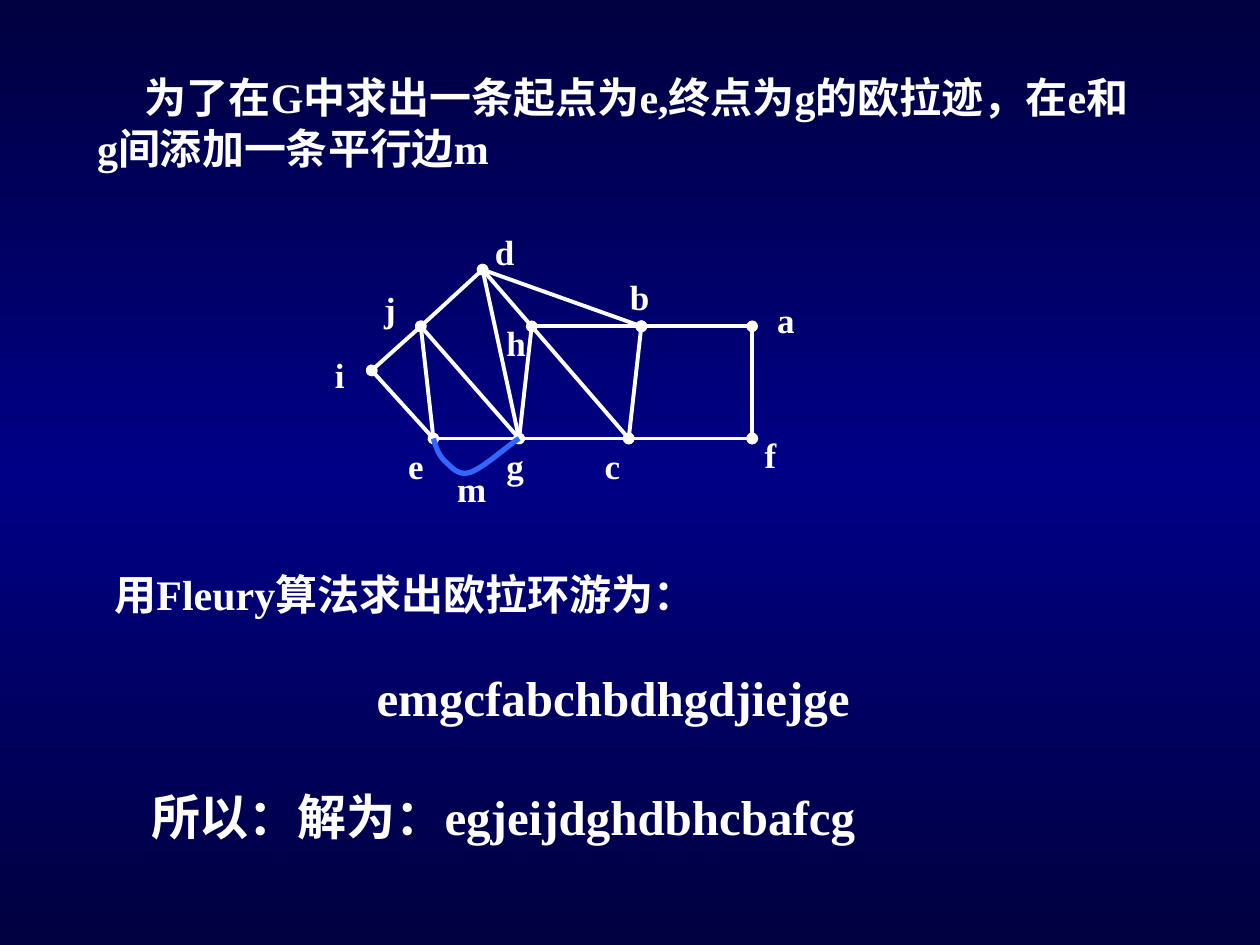
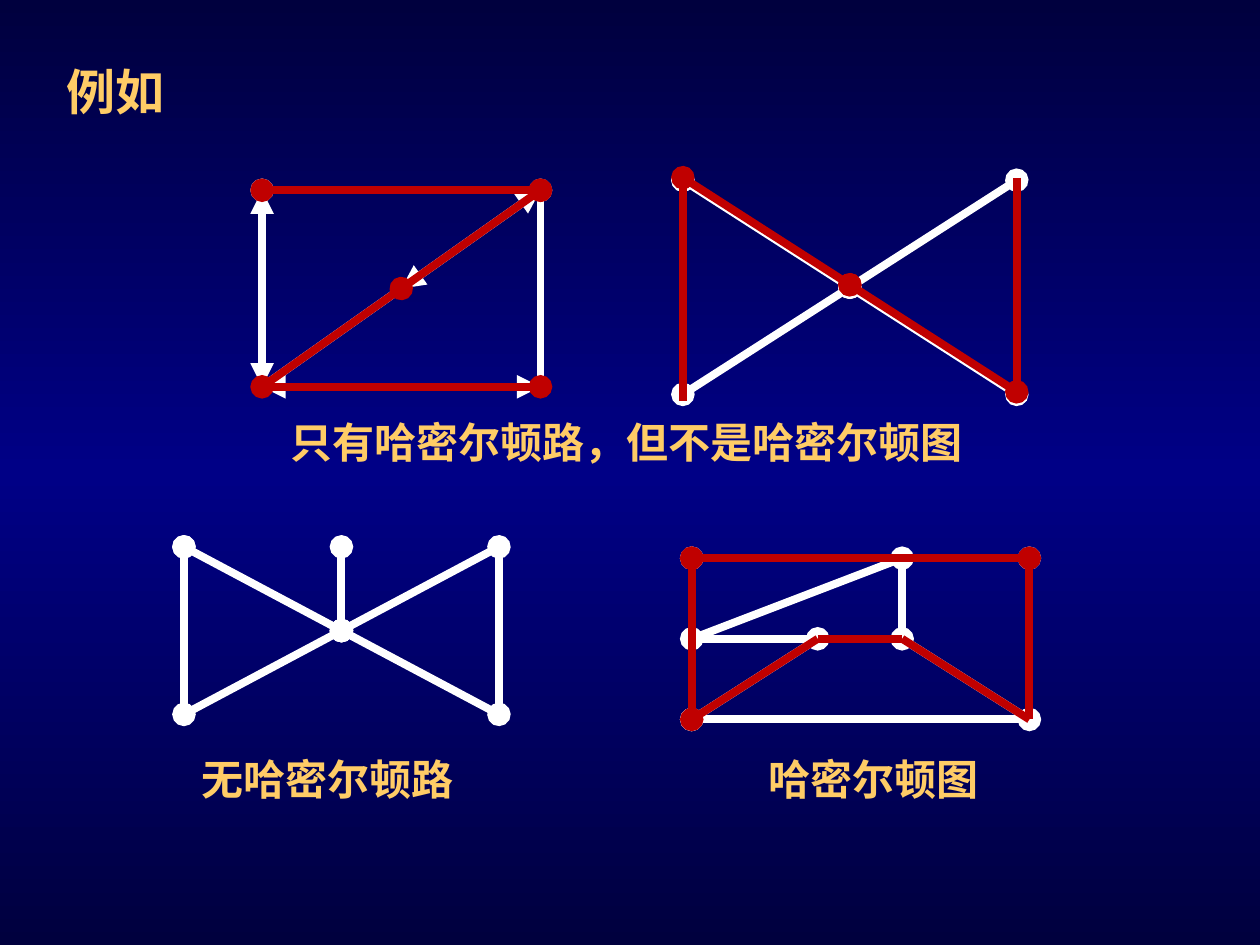
from copy import deepcopy
from dataclasses import dataclass

from lxml.etree import SubElement
from pptx import Presentation
from pptx.dml.color import RGBColor
from pptx.enum.shapes import MSO_CONNECTOR
from pptx.enum.text import MSO_ANCHOR, MSO_AUTO_SIZE, PP_ALIGN
from pptx.oxml.ns import qn
from pptx.util import Inches, Pt


@dataclass(frozen=True)
class Theme:
    """Colours, fonts and sizes shared by the slides."""
    edge: str = "00003E"
    core: str = "000086"
    white: str = "FFFFFF"
    gold: str = "FFCC66"
    red: str = "C00000"
    blue: str = "3366FF"
    serif: str = "Times New Roman"
    sans: str = "Noto Sans CJK SC"
    large: int = 28
    body: int = 24
    label: int = 20
    thin: float = 2.25
    curve: float = 3
    thick: float = 4.5


LOOK = Theme()


def dress(item, **form):
    """Set each format value on the item."""
    for name, value in form.items():
        setattr(item, name, value)


def paint(deck):
    """Give the master its vertical three-stop gradient."""
    master = deck.slide_master
    fill = master.background.fill
    fill.gradient()
    fill.gradient_angle = 90
    stops = master.element.find(".//" + qn("a:gsLst"))
    stops.append(deepcopy(stops[0]))
    tones = (LOOK.edge, LOOK.core, LOOK.edge)
    for rank, (stop, tone) in enumerate(zip(fill.gradient_stops, tones)):
        stop.position = rank / 2
        stop.color.rgb = RGBColor.from_string(tone)


def write(shape, box, text, size, tone=LOOK.white, face=LOOK.serif, indent=0):
    """Place a text shape and format its one paragraph."""
    left, top, width, height = map(Inches, box)
    dress(shape, left=left, top=top, width=width, height=height)
    frame = shape.text_frame
    frame.text = text
    dress(frame, word_wrap=True, auto_size=MSO_AUTO_SIZE.SHAPE_TO_FIT_TEXT,
          vertical_anchor=MSO_ANCHOR.TOP)
    para = frame.paragraphs[0]
    para.alignment = PP_ALIGN.LEFT
    props = para._p.get_or_add_pPr()
    props.set("marL", "0")
    props.set("indent", str(Inches(indent)))
    font = para.runs[0].font
    dress(font, name=face, size=Pt(size), bold=True)
    font.color.rgb = RGBColor.from_string(tone)
    SubElement(font._element, qn("a:ea"), typeface=LOOK.sans)


def note(slide, box, text, size, **form):
    """Add a text box."""
    shape = slide.shapes.add_textbox(*map(Inches, box))
    write(shape, box, text, size, **form)


def stroke(shape, tone, width):
    """Set the line colour and width."""
    shape.line.color.rgb = RGBColor.from_string(tone)
    shape.line.width = Pt(width)


def join(slide, start, end, tone, width, tip=None):
    """Draw one edge, with the same tip at both ends."""
    ends = map(Inches, (*start, *end))
    edge = slide.shapes.add_connector(MSO_CONNECTOR.STRAIGHT, *ends)
    stroke(edge, tone, width)
    if tip:
        for side in ("a:headEnd", "a:tailEnd"):
            SubElement(edge.line._ln, qn(side), type=tip)
    SubElement(edge._element.spPr, qn("a:effectLst"))


def graph(slide, nodes, tone=LOOK.white, width=LOOK.thick, **edges):
    """Draw edges named by node pairs, listed by kind of tip."""
    for tip, pairs in edges.items():
        for start, end in pairs.split():
            join(slide, nodes[start], nodes[end], tone, width,
                 None if tip == "plain" else tip)


def bend(slide, start, curves, tone, width, steps=10):
    """Draw a chain of cubic curves as a fine open outline."""
    points, first = [], start
    for curve in curves:
        knots = (first, *curve)
        for step in range(1, steps + 1):
            t = step / steps
            parts = ((1 - t) ** 3, 3 * t * (1 - t) ** 2, 3 * t * t * (1 - t), t ** 3)
            points.append([Inches(sum(p * k[axis] for p, k in zip(parts, knots)))
                           for axis in (0, 1)])
        first = curve[-1]
    pen = slide.shapes.build_freeform(*map(Inches, start))
    pen.add_line_segments(points, close=False)
    shape = pen.convert_to_shape()
    shape.shadow.inherit = False
    shape.fill.background()
    stroke(shape, tone, width)


def frame(left, top, right, bottom):
    """Name four corners a to d, row by row, and the centre m."""
    return {"a": (left, top), "b": (right, top), "c": (left, bottom),
            "d": (right, bottom), "m": ((left + right) / 2, (top + bottom) / 2)}


def start(deck, box, text, size, **form):
    """Add a slide with its title."""
    slide = deck.slides.add_slide(deck.slide_layouts[5])
    write(slide.shapes.title, box, text, size, **form)
    return slide


def euler(deck):
    """Build the slide on the Euler trail."""
    slide = start(deck, (0.67, 0.52, 8.42, 0.9),
                  "为了在G中求出一条起点为e,终点为g的欧拉迹，在e和g间添加一条平行边m",
                  LOOK.body, indent=0.38)
    nodes = {"a": (5.97, 2.59), "b": (5.09, 2.59), "c": (4.99, 3.48),
             "d": (3.83, 2.14), "e": (3.44, 3.48), "f": (5.97, 3.48),
             "g": (4.12, 3.48), "h": (4.22, 2.59), "i": (2.95, 2.94),
             "j": (3.34, 2.59)}
    graph(slide, nodes, width=LOOK.thin, oval="ji ie db jg dg hb bc cf af",
          plain="dj je eg dh hg gc hc ba")
    labels = {"a": (6.07, 2.32), "f": (5.97, 3.39), "e": (3.14, 3.48),
              "d": (3.83, 1.78), "c": (4.7, 3.48), "b": (4.9, 2.14),
              "i": (2.56, 2.76), "h": (3.92, 2.5), "g": (3.92, 3.48),
              "j": (2.95, 2.23), "m": (3.53, 3.66)}
    bend(slide, nodes["e"], (
        ((3.46, 3.55), (3.48, 3.61), (3.53, 3.66)),
        ((3.58, 3.7), (3.63, 3.78), (3.73, 3.75)),
        ((3.83, 3.72), (4.05, 3.52), nodes["g"])), LOOK.blue, LOOK.curve)
    for name, spot in labels.items():
        note(slide, (*spot, 0.51, 0.44), name, LOOK.label)
    note(slide, (0.43, 4.46, 8.42, 0.5), "用Fleury算法求出欧拉环游为：",
         LOOK.body, indent=0.38)
    note(slide, (2.4, 5.25, 5.91, 0.57), "emgcfabchbdhgdjiejge",
         LOOK.large, indent=0.49)
    note(slide, (0.67, 6.19, 8.42, 0.57), "所以：解为：egjeijdghdbhcbafcg",
         LOOK.large, indent=0.43)


def cycles(deck):
    """Build the slide of Hamilton examples."""
    slide = start(deck, (0.43, 0.44, 1.12, 0.57), "例如", LOOK.large, tone=LOOK.gold)

    box = frame(2.08, 1.51, 4.29, 3.07)
    graph(slide, box, triangle="cd mb ca", oval="ab", plain="mc bd")
    graph(slide, box, LOOK.red, oval="cd mb ab", plain="mc")

    bow = frame(5.42, 1.43, 8.07, 3.13)
    graph(slide, bow, oval="md mb ca am", plain="mc bd")
    trail = {**frame(5.42, 1.41, 8.07, 3.11), "c": (5.42, 3.18)}
    graph(slide, trail, LOOK.red, oval="md am", plain="ac bd")

    wings = {**frame(1.46, 4.34, 3.96, 5.67), "t": (2.71, 4.34)}
    graph(slide, wings, oval="md mb ca am mt", plain="mc bd")

    house = {**frame(5.49, 4.43, 8.17, 5.71), "l": (5.49, 5.07),
             "p": (6.49, 5.07), "q": (7.16, 5.07), "t": (7.16, 4.43)}
    graph(slide, house, oval="cd pl ca ab tq", plain="pc bd pq qd lt")
    graph(slide, house, LOOK.red, oval="ca ab", plain="pc bd pq qd")

    for left, top, width, text in (
            (2.21, 3.26, 5.96, "只有哈密尔顿路，但不是哈密尔顿图"),
            (6, 5.93, 2.07, "哈密尔顿图"),
            (1.5, 5.93, 2.28, "无哈密尔顿路")):
        note(slide, (left, top, width, 0.5), text, LOOK.body,
             tone=LOOK.gold, face=LOOK.sans)


def main():
    """Build and save the deck."""
    deck = Presentation()
    dress(deck, slide_width=Inches(10), slide_height=Inches(7.5))
    paint(deck)
    euler(deck)
    cycles(deck)
    deck.save("out.pptx")


if __name__ == "__main__":
    main()
